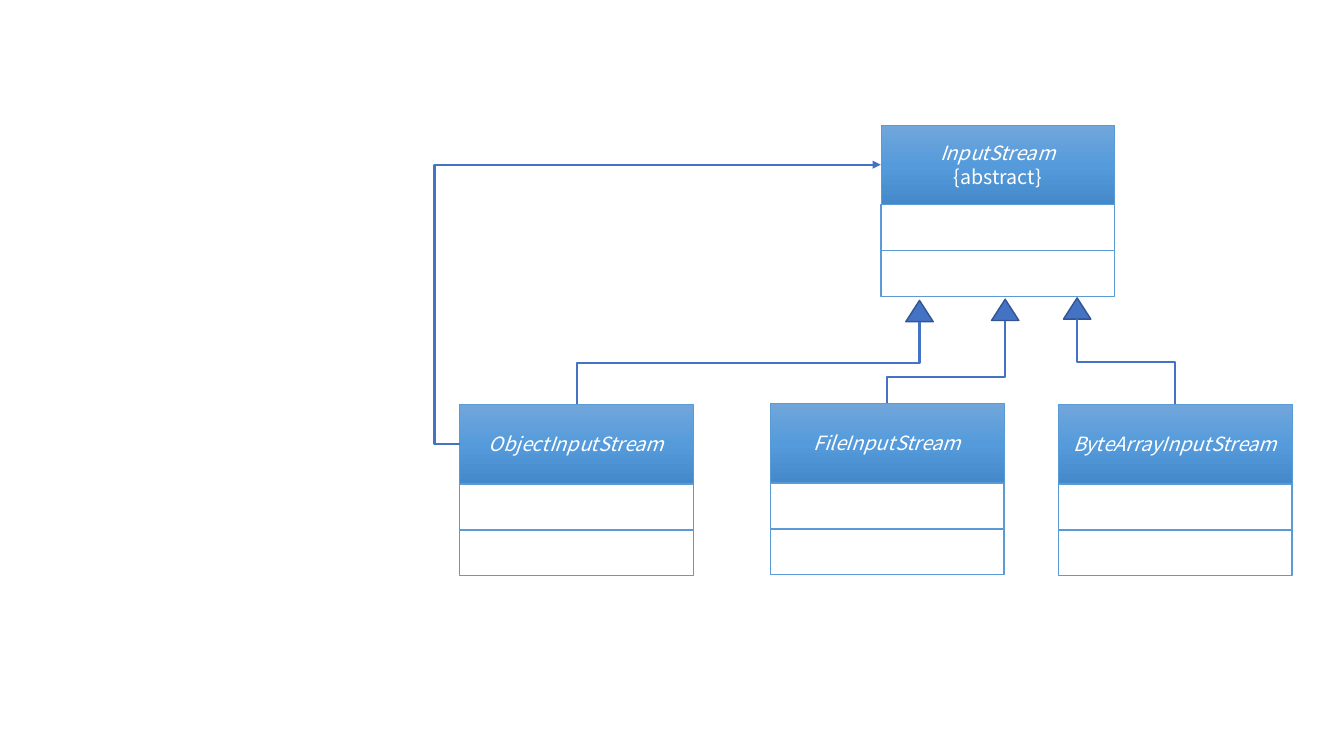
from copy import deepcopy

from lxml import etree
from pptx import Presentation
from pptx.dml.color import RGBColor
from pptx.enum.shapes import MSO_CONNECTOR, MSO_SHAPE
from pptx.enum.text import MSO_ANCHOR, PP_ALIGN
from pptx.oxml.ns import qn
from pptx.util import Pt

RECT, TRIANGLE = MSO_SHAPE.RECTANGLE, MSO_SHAPE.ISOSCELES_TRIANGLE
ELBOW = MSO_CONNECTOR.ELBOW
MIDDLE, CENTER = MSO_ANCHOR.MIDDLE, PP_ALIGN.CENTER

WHITE = RGBColor(0xFF, 0xFF, 0xFF)
BORDER = RGBColor(0x5B, 0x9B, 0xD5)
BLUE = RGBColor(0x44, 0x72, 0xC4)
DARK_BLUE = RGBColor(0x32, 0x54, 0x91)
HEADER_STOPS = [
    (0, RGBColor(0x71, 0xA6, 0xDB)),
    (0.5, RGBColor(0x55, 0x9B, 0xDB)),
    (1, RGBColor(0x44, 0x8A, 0xCA)),
]

FONT = "Noto Sans CJK SC"
BOX_W, HEADER_H, ROW_H = 167, 57, 32.8
HEAD_W, HEAD_H = 19.6, 15.2


def add_box(s, shape, x, y, w, h, line, weight):
    sp = s.shapes.add_shape(shape, Pt(x), Pt(y), Pt(w), Pt(h))
    sp.shadow.inherit = False
    sp.line.color.rgb = line
    sp.line.width = Pt(weight)
    return sp


def fill_solid(sp, color):
    sp.fill.solid()
    sp.fill.fore_color.rgb = color


def fill_header(sp):
    sp.fill.gradient()
    sp.fill.gradient_angle = 270
    # The default gradient has two stops; a third is needed
    stops = sp._element.spPr.find(qn("a:gradFill")).find(qn("a:gsLst"))
    stops.append(deepcopy(stops[-1]))
    for stop, (position, color) in zip(sp.fill.gradient_stops, HEADER_STOPS):
        stop.position = position
        stop.color.rgb = color


def add_class(s, x, y, name, note=None):
    """A class box: header with the name, then two empty compartments."""
    sp = add_box(s, RECT, x, y, BOX_W, HEADER_H, BORDER, 0.5)
    fill_header(sp)
    tf = sp.text_frame
    tf.word_wrap = True
    tf.vertical_anchor = MIDDLE
    lines = [(name, True)] + ([(note, False)] if note else [])
    for i, (text, italic) in enumerate(lines):
        p = tf.add_paragraph() if i else tf.paragraphs[0]
        p.alignment = CENTER
        r = p.add_run()
        r.text = text
        r.font.name = FONT
        r.font.size = Pt(14)
        r.font.italic = italic
        r.font.color.rgb = WHITE
    for row in range(2):
        top = y + HEADER_H + row * ROW_H
        fill_solid(add_box(s, RECT, x, top, BOX_W, ROW_H, BORDER, 1), WHITE)


def add_elbow(s, x1, y1, x2, y2, bend):
    """An elbow that leaves sideways; bend is a share of its width."""
    c = s.shapes.add_connector(ELBOW, Pt(x1), Pt(y1), Pt(x2), Pt(y2))
    c.line.color.rgb = BLUE
    c.line.width = Pt(1.5)
    sp_pr = c._element.spPr
    etree.SubElement(sp_pr, qn("a:effectLst"))
    guides = sp_pr.find(qn("a:prstGeom")).get_or_add_avLst()
    etree.SubElement(guides, qn("a:gd"), name="adj1",
                     fmla=f"val {round(bend * 100000)}")
    return c


def add_inheritance(s, tip_x, tip_y, x2, y2, bend):
    """A triangle under the parent and an elbow down to the child."""
    head = add_box(s, TRIANGLE, tip_x - HEAD_W / 2, tip_y, HEAD_W, HEAD_H,
                   DARK_BLUE, 1)
    fill_solid(head, BLUE)
    # Lay the elbow out sideways, then turn it about its centre
    y1 = tip_y + HEAD_H
    cx, cy = (tip_x + x2) / 2, (y1 + y2) / 2
    half_w, half_h = (y2 - y1) / 2, abs(x2 - tip_x) / 2
    c = add_elbow(s, cx - half_w, cy - half_h, cx + half_w, cy + half_h, bend)
    xfrm = c._element.spPr.find(qn("a:xfrm"))
    to_right = x2 > tip_x
    xfrm.set("rot", str((270 if to_right else 90) * 60000))
    if to_right:
        xfrm.set("flipH", "1")


def add_association(s, x1, y1, x2, y2, bend):
    c = add_elbow(s, x1, y1, x2, y2, bend)
    etree.SubElement(c.line._get_or_add_ln(), qn("a:tailEnd"), type="triangle")


def main():
    prs = Presentation()
    prs.slide_width, prs.slide_height = Pt(960), Pt(540)
    s = prs.slides.add_slide(prs.slide_layouts[6])

    # Parent class
    parent_x, parent_y = 629.2, 89.2
    add_class(s, parent_x, parent_y, "InputStream", "{abstract}")

    # Child classes: name, left, top, then triangle tip and bend
    object_x, object_y = 328.4, 288.7
    children = [
        ("FileInputStream", 550.2, 288, 718, 213.8, 0.683),
        ("ByteArrayInputStream", 755.9, object_y, 769.4, 212.8, 0.5),
        ("ObjectInputStream", object_x, object_y, 656.8, 214.6, 0.5),
    ]
    for name, x, y, tip_x, tip_y, bend in children:
        add_class(s, x, y, name)
        add_inheritance(s, tip_x, tip_y, x + BOX_W / 2, y, bend)

    # ObjectInputStream refers back to InputStream
    add_association(s, object_x, object_y + HEADER_H / 2,
                    parent_x, parent_y + HEADER_H / 2, -0.06)

    prs.save("out.pptx")


main()
